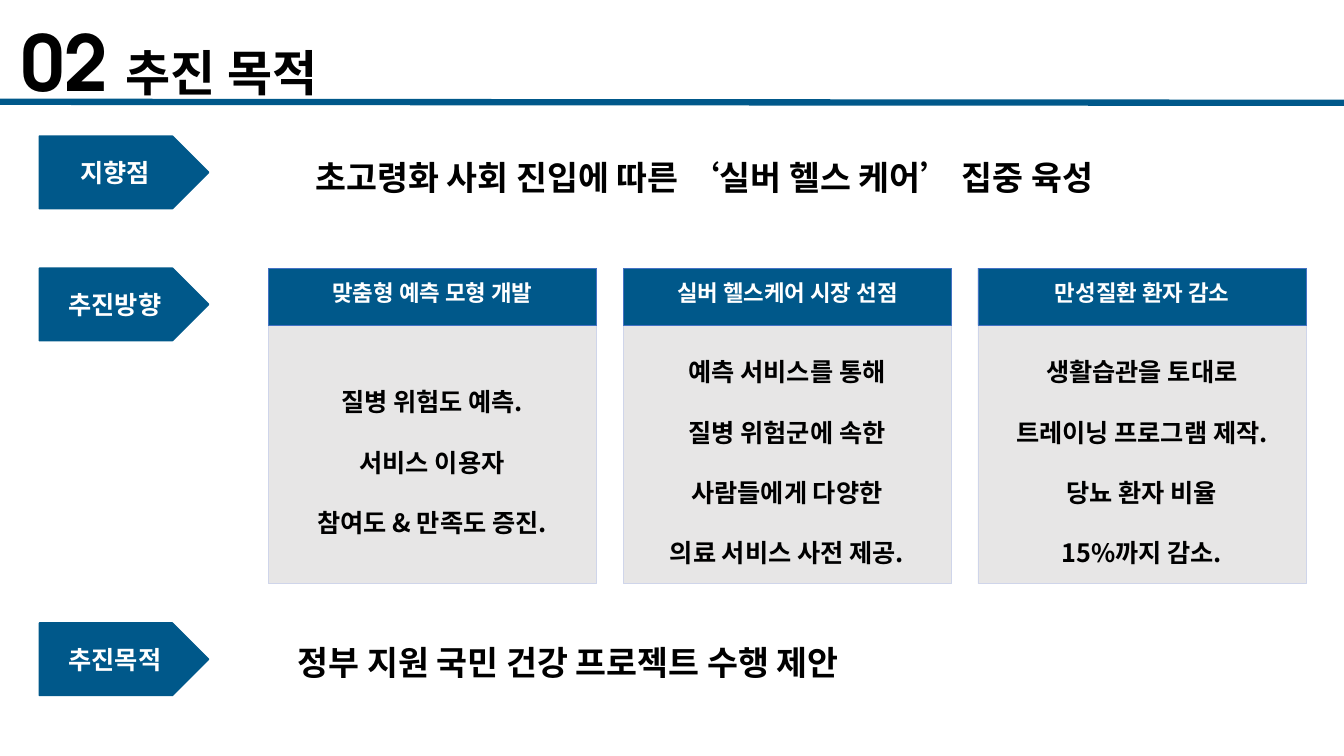
from lxml.etree import SubElement
from pptx import Presentation
from pptx.dml.color import RGBColor
from pptx.enum.shapes import MSO_CONNECTOR as CONN, MSO_SHAPE as SHAPE
from pptx.enum.text import MSO_ANCHOR as ANCHOR, MSO_AUTO_SIZE as FIT, PP_ALIGN as ALIGN
from pptx.oxml.ns import qn
from pptx.util import Inches, Pt

COLORS = {"blue": "00588A", "edge": "4472C4", "gray": "E7E6E6",
          "pale": "CFD5EA", "black": "000000", "white": "FFFFFF"}
SANS, ROUND = "Noto Sans CJK KR", "TeX Gyre Adventor"
WIDTH, HEIGHT = 13.33, 7.5

TAG_LEFT, TAG_W, TAG_H = 0.39, 1.68, 0.72
CARD_LEFT, CARD_TOP, CARD_W, CARD_GAP = 2.66, 2.66, 3.26, 0.26
HEAD_H, BODY_H = 0.57, 2.56

TAGS = [("지향점", 1.35), ("추진방향", CARD_TOP), ("추진목적", 6.18)]
STATEMENTS = [
    ("초고령화 사회 진입에 따른 ‘실버 헬스 케어’ 집중 육성", (2.37, 1.35, 9.23, 0.81)),
    ("정부 지원 국민 건강 프로젝트 수행 제안", (0.62, 6.16, 10.03, 0.81)),
]
CARDS = [
    ("맞춤형 예측 모형 개발",
     ["질병 위험도 예측.", "서비스 이용자", "참여도 & 만족도 증진."]),
    ("실버 헬스케어 시장 선점",
     ["예측 서비스를 통해", "질병 위험군에 속한", "사람들에게 다양한", "의료 서비스 사전 제공."]),
    ("만성질환 환자 감소",
     ["생활습관을 토대로", "트레이닝 프로그램 제작.", "당뇨 환자 비율", "15%까지 감소."]),
]


def rgb(name):
    return RGBColor.from_string(COLORS[name])


def inches(box):
    return [Inches(v) for v in box]


def add_run(p, text, size, color="black", font=SANS):
    """Add a bold run whose Hangul is always set in the sans face."""
    r = p.add_run()
    r.text = text
    r.font.size, r.font.bold, r.font.name = Pt(size), True, font
    r.font.color.rgb = rgb(color)
    SubElement(r.font._element, qn("a:ea"), typeface=SANS)


def set_lines(tf, lines, size, color="black", font=SANS, spacing=1.0):
    """Fill a text frame with centred paragraphs."""
    tf.word_wrap, tf.vertical_anchor = True, ANCHOR.MIDDLE
    for i, line in enumerate(lines):
        p = tf.add_paragraph() if i else tf.paragraphs[0]
        p.alignment, p.line_spacing = ALIGN.CENTER, spacing
        add_run(p, line, size, color, font)


def add_block(slide, shape, box, fill, line, width=1):
    sp = slide.shapes.add_shape(shape, *inches(box))
    sp.shadow.inherit = False
    sp.fill.solid()
    sp.fill.fore_color.rgb = rgb(fill)
    sp.line.color.rgb = rgb(line)
    sp.line.width = Pt(width)
    return sp


def add_header(slide, box):
    """Place the numbered title with the rule beneath it."""
    left, top, width, height = box
    bottom = top + height
    rule = slide.shapes.add_connector(
        CONN.STRAIGHT, *inches((0, bottom, WIDTH, bottom + 0.01)))
    rule.line.color.rgb, rule.line.width = rgb("blue"), Pt(4.5)
    SubElement(rule._element.spPr, qn("a:effectLst"))

    title = slide.shapes.title
    title.left, title.top, title.width, title.height = inches(box)
    tf = title.text_frame
    tf.auto_size, tf.word_wrap, tf.vertical_anchor = FIT.NONE, True, ANCHOR.MIDDLE
    tf.margin_left = tf.margin_right = Inches(0.13)
    tf.margin_top = tf.margin_bottom = Inches(0.07)
    p = tf.paragraphs[0]
    p.alignment = ALIGN.LEFT
    for text, size in [("02", 55), (" ", 46.7), ("추진 목적", 35)]:
        add_run(p, text, size, font=ROUND)


def add_tag(slide, text, box):
    sp = add_block(slide, SHAPE.PENTAGON, box, "blue", "blue")
    set_lines(sp.text_frame, [text], 18, "white")


def add_statement(slide, text, box):
    tf = slide.shapes.add_textbox(*inches(box)).text_frame
    set_lines(tf, [text], 24, font=ROUND)


def add_card(slide, heading, lines, box):
    left, top, width, height = box
    body_top = top + HEAD_H
    add_block(slide, SHAPE.RECTANGLE, (left, body_top, width, height - HEAD_H),
              "gray", "pale", 0.5)
    head = add_block(slide, SHAPE.RECTANGLE, (left, top, width, HEAD_H),
                     "blue", "edge", 0.5)
    set_lines(head.text_frame, [heading], 16, "white", spacing=0.9)
    head.text_frame.margin_bottom = Inches(0.1)
    text_box = (left + 0.11, body_top + 0.05, width - 0.23, 2.31)
    set_lines(slide.shapes.add_textbox(*inches(text_box)).text_frame,
              lines, 18, spacing=2.0)


def main():
    prs = Presentation()
    prs.slide_width, prs.slide_height = inches((WIDTH, HEIGHT))
    slide = prs.slides.add_slide(prs.slide_layouts[5])
    add_header(slide, (0.08, 0.2, 9.76, 0.81))
    for text, top in TAGS:
        add_tag(slide, text, (TAG_LEFT, top, TAG_W, TAG_H))
    for text, box in STATEMENTS:
        add_statement(slide, text, box)
    for i, (heading, lines) in enumerate(CARDS):
        left = CARD_LEFT + i * (CARD_W + CARD_GAP)
        add_card(slide, heading, lines, (left, CARD_TOP, CARD_W, HEAD_H + BODY_H))
    prs.save("out.pptx")


if __name__ == "__main__":
    main()
